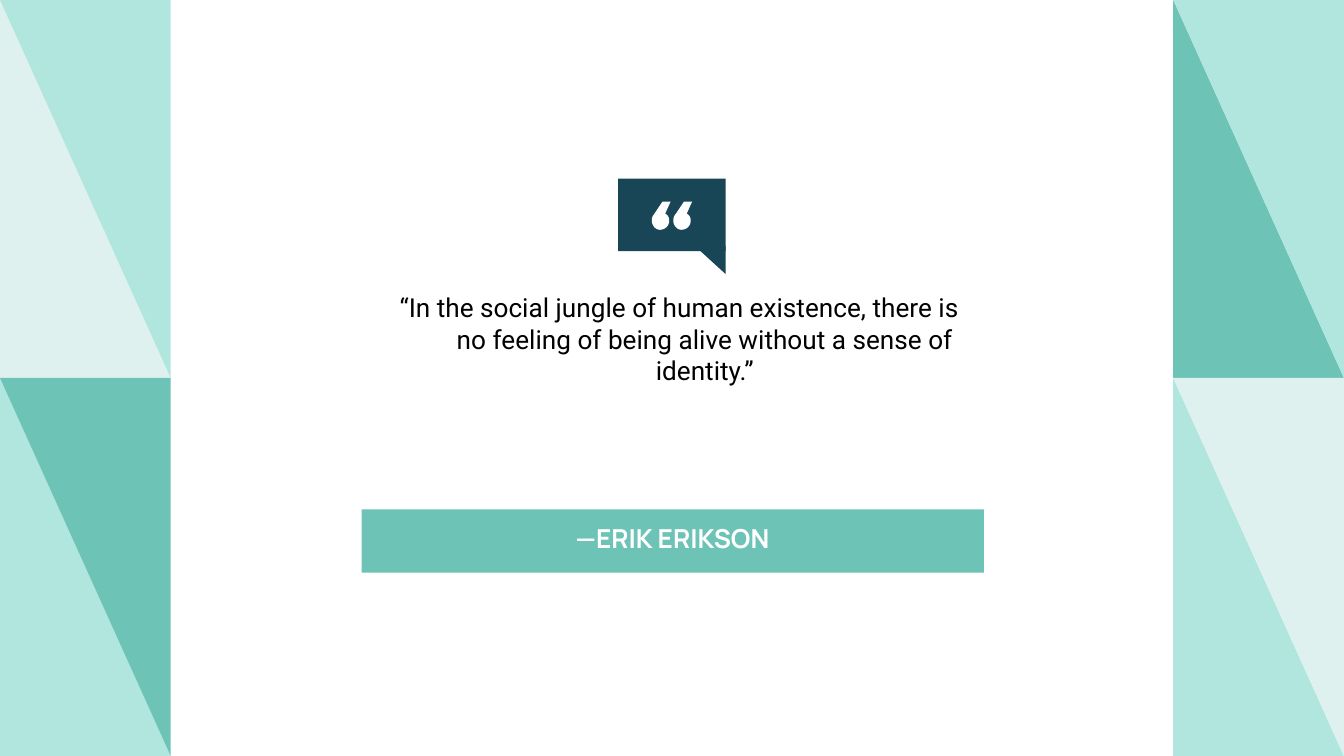
from pptx import Presentation
from pptx.dml.color import RGBColor
from pptx.enum import shapes, text
from pptx.util import Inches, Pt

COLORS = {
    "mint": "B1E6DE",
    "pale": "DFF1EF",
    "teal": "6CC3B6",
    "navy": "194656",
    "white": "FFFFFF",
    "black": "000000",
}
AUTHOR = "—ERIK ERIKSON"
QUOTE = ("“In the social jungle of human existence, there is no feeling "
         "of being alive without a sense of identity.”")

WIDTH = 10
HEIGHT = WIDTH * 9 / 16
PANEL_W, PANEL_H = 1.27, HEIGHT / 2
PANELS = [
    (0, 0, "pale", "mint"),
    (0, 1, "mint", "teal"),
    (1, 0, "teal", "mint"),
    (1, 1, "mint", "pale"),
]
BUBBLE = (4.6, 1.33, 0.8, 0.54)
TAIL = [(5.17, 1.83), (5.4, 2.04), (5.4, 1.83)]
MARK_LEFTS = [4.85, 5.01]
MARK_TOP = 1.5
MARK_START = [(0.08, 0), (0.02, 0.09)]
MARK_CURVES = [
    [(0.02, 0.09), (0.01, 0.1), (0, 0.12), (0, 0.14)],
    [(0, 0.14), (0, 0.18), (0.03, 0.21), (0.06, 0.21)],
    [(0.06, 0.21), (0.1, 0.21), (0.13, 0.18), (0.13, 0.14)],
    [(0.13, 0.14), (0.13, 0.12), (0.12, 0.1), (0.1, 0.09)],
]
MARK_END = [(0.14, 0)]


def rgb(name):
    return RGBColor.from_string(COLORS[name])


def paint(sp, color):
    sp.fill.solid()
    sp.fill.fore_color.rgb = rgb(color)
    sp.line.fill.background()
    sp.shadow.inherit = False


def add_outline(parent, contours, color):
    builder = None
    for points in contours:
        start, *rest = [(Inches(x), Inches(y)) for x, y in points]
        if builder is None:
            builder = parent.build_freeform(*start)
        else:
            builder.move_to(*start)
        builder.add_line_segments(rest, close=True)
    paint(builder.convert_to_shape(), color)


def curve_points(curve, steps=8):
    for i in range(1, steps + 1):
        t = i / steps
        weights = ((1 - t) ** 3, 3 * t * (1 - t) ** 2, 3 * t * t * (1 - t), t ** 3)
        yield tuple(sum(w * p[axis] for w, p in zip(weights, curve)) for axis in (0, 1))


def fill_placeholder(sp, box, content, font, color, bold=False):
    sp.left, sp.top, sp.width, sp.height = map(Inches, box)
    tf = sp.text_frame
    tf.word_wrap = True
    tf.auto_size = text.MSO_AUTO_SIZE.NONE
    tf.vertical_anchor = text.MSO_ANCHOR.TOP
    tf.margin_left = tf.margin_right = tf.margin_top = tf.margin_bottom = Inches(0.1)
    p = tf.paragraphs[0]
    p.alignment = text.PP_ALIGN.CENTER
    p.space_before = Pt(0)
    p.line_spacing = 1.0
    r = p.add_run()
    r.text = content
    r.font.name = font
    r.font.size = Pt(14)
    r.font.bold = bold
    r.font.color.rgb = rgb(color)
    return p


prs = Presentation()
prs.slide_width, prs.slide_height = Inches(WIDTH), Inches(HEIGHT)
s = prs.slides.add_slide(prs.slide_layouts[0])
s.background.fill.solid()
s.background.fill.fore_color.rgb = rgb("white")

for column, row, lower, upper in PANELS:
    left, top = column * (WIDTH - PANEL_W), row * PANEL_H
    right, bottom = left + PANEL_W, top + PANEL_H
    add_outline(s.shapes, [[(left, top), (left, bottom), (right, bottom)]], lower)
    add_outline(s.shapes, [[(left, top), (right, top), (right, bottom)]], upper)

title, subtitle = s.placeholders
fill_placeholder(title, (2.69, 3.79, 4.63, 0.47), AUTHOR, "Manrope", "white", bold=True)
paint(title, "teal")
p = fill_placeholder(subtitle, (2.68, 2.07, 4.63, 1.57), QUOTE, "Roboto", "black")
pPr = p._p.get_or_add_pPr()
pPr.set("marL", str(Inches(0.5)))
pPr.set("indent", str(Inches(-0.38)))

icon = s.shapes.add_group_shape().shapes
paint(icon.add_shape(shapes.MSO_SHAPE.RECTANGLE, *map(Inches, BUBBLE)), "navy")
mark = MARK_START + [pt for c in MARK_CURVES for pt in curve_points(c)] + MARK_END
add_outline(icon, [[(left + x, MARK_TOP + y) for x, y in mark] for left in MARK_LEFTS], "white")
add_outline(icon, [TAIL], "navy")

prs.save("out.pptx")
